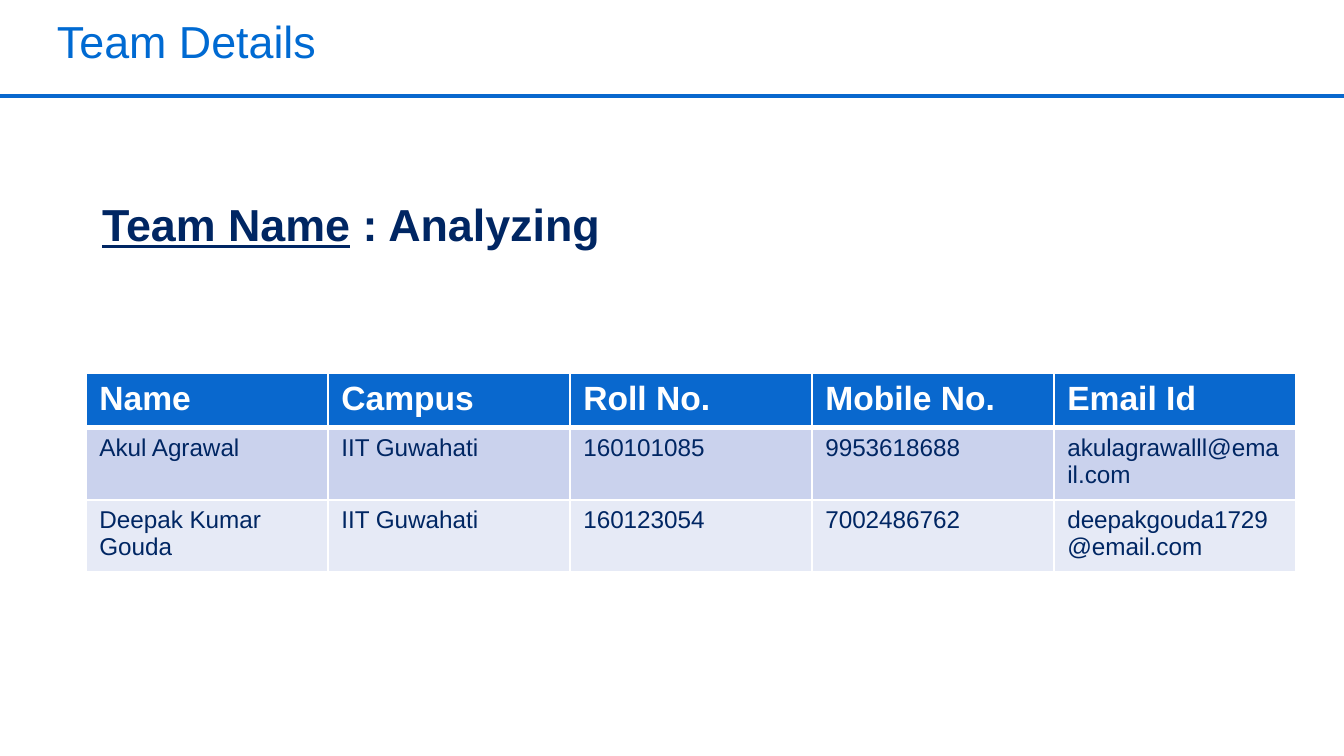
import dataclasses

import lxml.etree
import pptx
import pptx.dml.color
import pptx.enum.shapes
import pptx.enum.text
import pptx.oxml.ns
import pptx.util

EMU_PER_PX = 914400 / 134.4
SLIDE_WIDTH, SLIDE_HEIGHT = 1344, 756


@dataclasses.dataclass(frozen=True)
class Theme:
    font: str = "Arial"
    title_blue: str = "006AD2"
    accent: str = "0968CE"
    navy: str = "002663"
    white: str = "FFFFFF"
    bands: tuple = ("CAD2ED", "E6EAF6")
    heading_size: int = 24
    header_size: int = 18
    body_size: int = 13


THEME = Theme()

HEADERS = ("Name", "Campus", "Roll No.", "Mobile No.", "Email Id")
MEMBERS = (
    ("Akul Agrawal", "IIT Guwahati", "160101085", "9953618688", "akulagrawalll@email.com"),
    ("Deepak Kumar Gouda", "IIT Guwahati", "160123054", "7002486762", "deepakgouda1729@email.com"),
)


def px(length):
    return pptx.util.Emu(round(length * EMU_PER_PX))


def rgb(value):
    return pptx.dml.color.RGBColor.from_string(value)


def add_run(paragraph, text, *, size, color, bold=False, underline=False):
    run = paragraph.add_run()
    run.text = text
    run.font.name = THEME.font
    run.font.size = pptx.util.Pt(size)
    run.font.color.rgb = rgb(color)
    run.font.bold = bold
    run.font.underline = underline


def add_text_box(slide, left, top, width, height, *, margins, wrap):
    """Add an empty top-anchored box and return its first paragraph."""
    frame = slide.shapes.add_textbox(px(left), px(top), px(width), px(height)).text_frame
    frame.word_wrap = wrap
    frame.vertical_anchor = pptx.enum.text.MSO_ANCHOR.TOP
    horizontal, vertical = margins
    frame.margin_left = frame.margin_right = px(horizontal)
    frame.margin_top = frame.margin_bottom = px(vertical)
    return frame.paragraphs[0]


def add_divider(slide, y):
    divider = slide.shapes.add_connector(
        pptx.enum.shapes.MSO_CONNECTOR.STRAIGHT, px(0), px(y), px(SLIDE_WIDTH), px(y))
    divider.line.color.rgb = rgb(THEME.accent)
    divider.line.width = pptx.util.Pt(2)
    lxml.etree.SubElement(divider._element.spPr, pptx.oxml.ns.qn("a:effectLst"))


def set_borders(cell, *, top=1, bottom=1):
    """Draw white cell edges; widths are in points."""
    properties = cell._tc.get_or_add_tcPr()
    edges = {"lnL": 1, "lnR": 1, "lnT": top, "lnB": bottom}
    for position, (edge, width) in enumerate(edges.items()):
        line = lxml.etree.Element(pptx.oxml.ns.qn(f"a:{edge}"), w=str(pptx.util.Pt(width)))
        fill = lxml.etree.SubElement(line, pptx.oxml.ns.qn("a:solidFill"))
        lxml.etree.SubElement(fill, pptx.oxml.ns.qn("a:srgbClr"), val=THEME.white)
        properties.insert(position, line)


def fill_row(row, values, background, *, top=1, bottom=1, **text_format):
    for cell, value in zip(row.cells, values):
        cell.fill.solid()
        cell.fill.fore_color.rgb = rgb(background)
        set_borders(cell, top=top, bottom=bottom)
        add_run(cell.text_frame.paragraphs[0], value, **text_format)


def add_member_table(slide, left, top, column_width, row_height):
    row_count, column_count = len(MEMBERS) + 1, len(HEADERS)
    table = slide.shapes.add_table(
        row_count, column_count, px(left), px(top),
        px(column_width * column_count), px(row_height * row_count)).table
    for column in table.columns:
        column.width = px(column_width)
    for row in table.rows:
        row.height = px(row_height)

    fill_row(table.rows[0], HEADERS, THEME.accent, bottom=3,
             size=THEME.header_size, color=THEME.white, bold=True)
    for index, member in enumerate(MEMBERS):
        fill_row(table.rows[index + 1], member, THEME.bands[index % len(THEME.bands)],
                 top=3 if index == 0 else 1, size=THEME.body_size, color=THEME.navy)


def main():
    presentation = pptx.Presentation()
    presentation.slide_width = px(SLIDE_WIDTH)
    presentation.slide_height = px(SLIDE_HEIGHT)
    slide = presentation.slides.add_slide(presentation.slide_layouts[6])

    title = add_text_box(slide, 57, 23, 1210, 110, margins=(0, 0), wrap=True)
    title.line_spacing = 0.82
    add_run(title, "Team Details", size=THEME.heading_size, color=THEME.title_blue)

    add_divider(slide, 96)
    add_member_table(slide, left=86, top=373, column_width=242, row_height=55)

    team = add_text_box(slide, 89, 190, 531, 67, margins=(13, 7), wrap=False)
    team_format = {"size": THEME.heading_size, "color": THEME.navy, "bold": True}
    add_run(team, "Team Name", underline=True, **team_format)
    add_run(team, " : Analyzing", **team_format)

    presentation.save("out.pptx")


if __name__ == "__main__":
    main()
